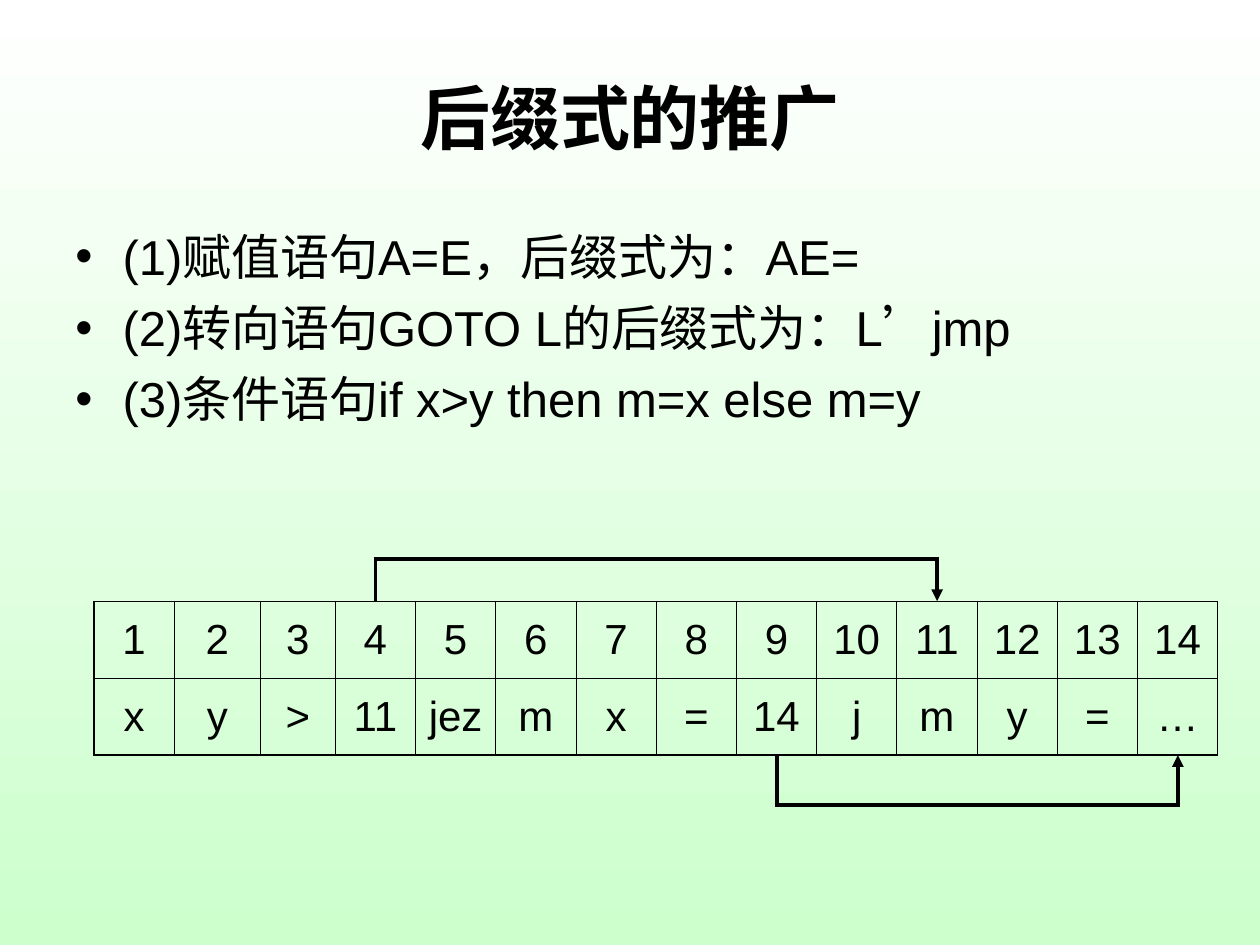
from itertools import accumulate

from lxml import etree
from pptx import Presentation
from pptx.dml.color import RGBColor
from pptx.enum.text import MSO_ANCHOR, PP_ALIGN
from pptx.oxml.ns import qn
from pptx.util import Pt

MIDDLE, TOP = MSO_ANCHOR.MIDDLE, MSO_ANCHOR.TOP
CENTER, LEFT = PP_ALIGN.CENTER, PP_ALIGN.LEFT
BLACK = RGBColor(0x00, 0x00, 0x00)
WHITE = RGBColor(0xFF, 0xFF, 0xFF)
PALE_GREEN = RGBColor(0xCC, 0xFF, 0xCC)

RULES = [
    "(1)赋值语句A=E，后缀式为：AE=",
    "(2)转向语句GOTO L的后缀式为：L’jmp",
    "(3)条件语句if x>y then m=x else m=y",
]
SYMBOLS = ["x", "y", ">", "11", "jez", "m", "x", "=", "14", "j", "m", "y", "=", "…"]
POSITIONS = [str(number) for number in range(1, len(SYMBOLS) + 1)]
COLUMN_WIDTHS = [45.85, 49.3, 42.8] + [45.85] * 11
TABLE_LEFT, TABLE_TOP, ROW_HEIGHT = 53.7, 343.5, 44
TABLE_BOTTOM = TABLE_TOP + 2 * ROW_HEIGHT


class SlideBuilder:
    font = "Arial"
    thin, thick, arrow_width = 0.45, 1.08, 2.25

    def __init__(self, slide):
        self.slide = slide

    def background(self, start, end):
        fill = self.slide.background.fill
        fill.gradient()
        fill.gradient_angle = 270
        for stop, color in zip(fill.gradient_stops, (start, end)):
            stop.color.rgb = color

    def format_paragraph(self, para, size, align, before=0, bold=False):
        para.alignment = align
        para.space_before = Pt(before)
        for span in para.runs:
            span.font.name = self.font
            span.font.size = Pt(size)
            span.font.bold = bold
            span.font.color.rgb = BLACK

    def text(self, lines, left, top, width, height, size, align=LEFT,
             anchor=TOP, before=0, bold=False, bullet=None):
        box = self.slide.shapes.add_textbox(Pt(left), Pt(top), Pt(width), Pt(height))
        frame = box.text_frame
        frame.word_wrap = True
        frame.vertical_anchor = anchor
        frame.text = "\n".join(lines)
        for para in frame.paragraphs:
            self.format_paragraph(para, size, align, before, bold)
            if bullet:
                self.bullet(para, bullet)

    def bullet(self, para, mark, indent=27):
        properties = para._p.get_or_add_pPr()
        properties.set("marL", str(Pt(indent)))
        properties.set("indent", str(-Pt(indent)))
        etree.SubElement(properties, qn("a:buFont"), typeface=self.font)
        etree.SubElement(properties, qn("a:buChar"), char=mark)

    def border(self, cell, side, width):
        line = etree.Element(qn(f"a:ln{side}"), w=str(Pt(width)))
        fill = etree.SubElement(line, qn("a:solidFill"))
        etree.SubElement(fill, qn("a:srgbClr"), val=str(BLACK))
        return line

    def table(self, rows, left, top, widths, row_height, size):
        table = self.slide.shapes.add_table(
            len(rows), len(widths), Pt(left), Pt(top),
            Pt(sum(widths)), Pt(row_height * len(rows))).table
        table.first_row = table.horz_banding = False
        for column, width in zip(table.columns, widths):
            column.width = Pt(width)
        last_row, last_column = len(rows) - 1, len(widths) - 1
        for row_index, values in enumerate(rows):
            table.rows[row_index].height = Pt(row_height)
            for column_index, value in enumerate(values):
                cell = table.cell(row_index, column_index)
                cell.text_frame.text = value
                cell.vertical_anchor = MIDDLE
                cell.fill.background()
                self.format_paragraph(cell.text_frame.paragraphs[0], size, CENTER, 6)
                outer = {"L": column_index == 0, "R": column_index == last_column,
                         "T": False, "B": row_index == last_row}
                properties = cell._tc.get_or_add_tcPr()
                for place, (side, edge) in enumerate(outer.items()):
                    width = self.thick if edge else self.thin
                    properties.insert(place, self.border(cell, side, width))

    def jump(self, start, end, edge, turn):
        builder = self.slide.shapes.build_freeform(Pt(start), Pt(edge))
        corners = [(start, turn), (end, turn), (end, edge)]
        builder.add_line_segments([(Pt(x), Pt(y)) for x, y in corners], close=False)
        arrow = builder.convert_to_shape()
        arrow.shadow.inherit = False
        arrow.fill.background()
        arrow.line.color.rgb = BLACK
        arrow.line.width = Pt(self.arrow_width)
        line = arrow.line._get_or_add_ln()
        etree.SubElement(line, qn("a:miter"), lim="800000")
        etree.SubElement(line, qn("a:tailEnd"), type="triangle")


def main():
    deck = Presentation()
    deck.slide_width, deck.slide_height = Pt(720), Pt(540)
    page = SlideBuilder(deck.slides.add_slide(deck.slide_layouts[6]))
    page.background(WHITE, PALE_GREEN)
    page.text(["后缀式的推广"], 36, 21.6, 648, 90, 40, CENTER, MIDDLE, bold=True)
    page.text(RULES, 36, 126, 648, 203.76, 28, before=7, bullet="•")
    page.table([POSITIONS, SYMBOLS], TABLE_LEFT, TABLE_TOP, COLUMN_WIDTHS, ROW_HEIGHT, 24)

    edges = accumulate(COLUMN_WIDTHS, initial=TABLE_LEFT)
    centers = [edge + width / 2 for edge, width in zip(edges, COLUMN_WIDTHS)]
    page.jump(centers[3], centers[10], TABLE_TOP, 319.2)
    page.jump(centers[8], centers[13], TABLE_BOTTOM, 460.2)
    deck.save("out.pptx")


if __name__ == "__main__":
    main()
